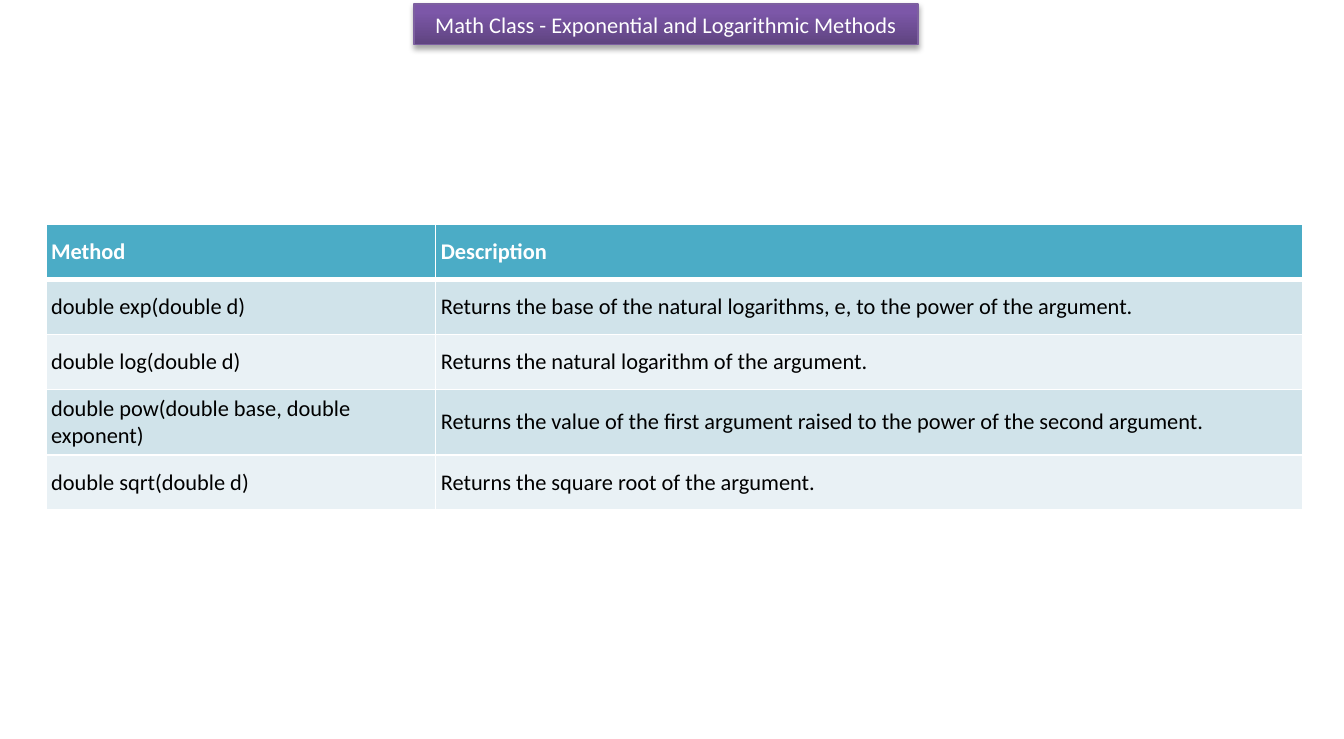
from dataclasses import dataclass

from lxml.etree import SubElement
from pptx import Presentation
from pptx.dml.color import RGBColor
from pptx.enum.shapes import MSO_SHAPE
from pptx.enum.text import MSO_ANCHOR, MSO_AUTO_SIZE, PP_ALIGN
from pptx.oxml.ns import qn
from pptx.util import Inches, Pt


@dataclass(frozen=True)
class Theme:
    """Hold the colours and type of the slide."""
    font: str = "Calibri"
    size: int = 12
    white: str = "FFFFFF"
    black: str = "000000"
    header: str = "4BACC6"
    bands: tuple = ("D0E3EA", "E9F1F5")
    title_dark: str = "5F4480"
    title_light: str = "7C57A8"
    title_line: str = "7D60A0"


THEME = Theme()
TITLE = "Math Class - Exponential and Logarithmic Methods"
METHODS = [
    ("Method", "Description"),
    ("double exp(double d)",
     "Returns the base of the natural logarithms, e, to the power of the argument."),
    ("double log(double d)", "Returns the natural logarithm of the argument."),
    ("double pow(double base, double exponent)",
     "Returns the value of the first argument raised to the power of the second argument."),
    ("double sqrt(double d)", "Returns the square root of the argument."),
]


def write_text(frame, text, color=THEME.black, bold=False, align=PP_ALIGN.LEFT):
    """Write one formatted paragraph into a text frame."""
    paragraph = frame.paragraphs[0]
    paragraph.alignment = align
    run = paragraph.add_run()
    run.text = text
    run.font.name = THEME.font
    run.font.size = Pt(THEME.size)
    run.font.bold = bold
    run.font.color.rgb = RGBColor.from_string(color)


def add_color(parent, color):
    """Append an RGB colour element and return it."""
    return SubElement(parent, qn("a:srgbClr"), val=color)


def add_shadow(shape):
    """Give a shape a soft shadow below it."""
    shape.shadow.inherit = False
    effects = shape._element.spPr.find(qn("a:effectLst"))
    shadow = SubElement(effects, qn("a:outerShdw"), blurRad=str(Pt(3.1)),
                        dist=str(Pt(1.8)), dir="5400000", rotWithShape="0")
    SubElement(add_color(shadow, THEME.black), qn("a:alpha"), val="35000")


def add_title(slide):
    """Add the gradient title bar."""
    shape = slide.shapes.add_shape(MSO_SHAPE.RECTANGLE, Inches(3.08), Inches(0.03),
                                   Inches(3.75), Inches(0.3))
    shape.fill.gradient()
    shape.fill.gradient_angle = 90
    stops = ((0, THEME.title_dark), (0.8, THEME.title_light))
    for stop, (position, color) in zip(shape.fill.gradient_stops, stops):
        stop.position = position
        stop.color.rgb = RGBColor.from_string(color)
    shape.line.color.rgb = RGBColor.from_string(THEME.title_line)
    shape.line.width = Pt(0.75)
    add_shadow(shape)
    shape.text_frame.auto_size = MSO_AUTO_SIZE.SHAPE_TO_FIT_TEXT
    write_text(shape.text_frame, TITLE, color=THEME.white, align=PP_ALIGN.CENTER)


def set_borders(cell, **widths):
    """Draw white cell borders with the given widths in points."""
    properties = cell._tc.get_or_add_tcPr()
    for side, width in widths.items():
        line = SubElement(properties, qn(f"a:ln{side}"), w=str(Pt(width)))
        add_color(SubElement(line, qn("a:solidFill")), THEME.white)


def format_cell(cell, text, fill, bottom=1, **text_format):
    """Set the borders, fill, margins and text of a table cell."""
    set_borders(cell, L=1, R=1, T=1, B=bottom)
    cell.fill.solid()
    cell.fill.fore_color.rgb = RGBColor.from_string(fill)
    cell.vertical_anchor = MSO_ANCHOR.MIDDLE
    cell.margin_left = cell.margin_right = Inches(0.04)
    cell.margin_top = cell.margin_bottom = Inches(0.04)
    write_text(cell.text_frame, text, **text_format)


def add_method_table(slide):
    """Add the table of methods with a header and banded rows."""
    table = slide.shapes.add_table(len(METHODS), 2, Inches(0.34), Inches(1.67),
                                   Inches(9.35), Inches(2.05)).table
    for column, width in zip(table.columns, (2.9, 6.45)):
        column.width = Inches(width)
    for row_index, texts in enumerate(METHODS):
        table.rows[row_index].height = Inches(0.41)
        for column_index, text in enumerate(texts):
            cell = table.cell(row_index, column_index)
            if row_index == 0:
                format_cell(cell, text, THEME.header, bottom=3,
                            color=THEME.white, bold=True)
            else:
                top = 3 if row_index == 1 else 1
                format_cell(cell, text, THEME.bands[(row_index - 1) % 2])
                cell._tc.tcPr.find(qn("a:lnT")).set("w", str(Pt(top)))


def main():
    """Build and save the slide."""
    presentation = Presentation()
    presentation.slide_width = Inches(10)
    presentation.slide_height = Inches(5.5)
    slide = presentation.slides.add_slide(presentation.slide_layouts[6])
    add_method_table(slide)
    add_title(slide)
    presentation.save("out.pptx")


if __name__ == "__main__":
    main()
